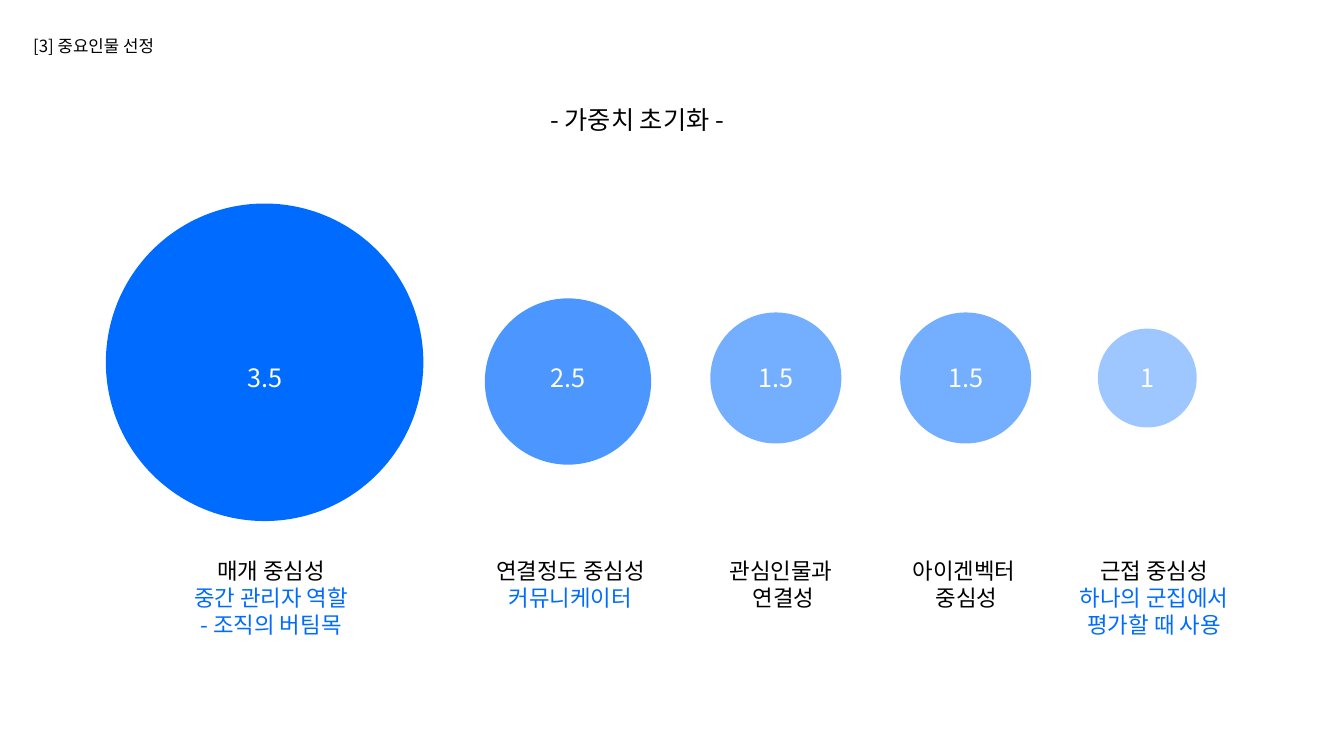
from dataclasses import dataclass

from pptx import Presentation
from pptx.dml.color import RGBColor as Rgb
from pptx.enum.shapes import MSO_SHAPE as Form
from pptx.enum.text import MSO_ANCHOR as Anchor, MSO_AUTO_SIZE as Fit, PP_ALIGN as Align
from pptx.oxml.ns import qn
from pptx.oxml.xmlchemy import OxmlElement as Node
from pptx.util import Pt

FONT = "Noto Sans CJK KR"
HUES = {"ink": "000000", "blue": "006CFF", "white": "FFFFFF"}
CAP_TOP = 394.6
NUM_TOP, NUM_WIDE, NUM_HIGH = 255.6, 54, 28.8


@dataclass
class Line:
    text: str
    hue: str = "ink"


@dataclass
class Score:
    value: str
    mid_x: float
    mid_y: float
    size: float
    alpha: int  # percent
    cap_x: float
    cap_wide: float
    lines: list[Line]


SCORES = [
    Score("3.5", 189, 258.8, 226.8, 100, 193.7, 132.5,
          [Line("매개 중심성"), Line("중간 관리자 역할", "blue"), Line("- 조직의 버팀목", "blue")]),
    Score("2.5", 405.7, 272.5, 118.8, 70, 407.5, 141.1,
          [Line("연결정도 중심성"), Line("커뮤니케이터", "blue")]),
    Score("1.5", 554.2, 270, 93.6, 55, 559.8, 146.2,
          [Line("관심인물과 "), Line("연결성")]),
    Score("1.5", 689.8, 270, 93.6, 55, 690.5, 132.5,
          [Line("아이겐벡터 "), Line("중심성")]),
    Score("1", 819.5, 270, 70.6, 38, 824.4, 139.7,
          [Line("근접 중심성"), Line("하나의 군집에서 평가할 때 사용", "blue")]),
]


def write(shape, lines: list[Line], size: float, align: Align) -> None:
    frame = shape.text_frame
    frame.word_wrap = True
    frame.auto_size = Fit.NONE
    frame.vertical_anchor = Anchor.TOP
    for i, line in enumerate(lines):
        para = frame.add_paragraph() if i else frame.paragraphs[0]
        para.alignment = align
        run = para.add_run()
        run.text = line.text
        font = run.font
        font.name, font.size = FONT, Pt(size)
        font.color.rgb = Rgb.from_string(HUES[line.hue])
        # Hangul uses the East Asian face
        face = Node("a:ea")
        face.set("typeface", FONT)
        font._element.find(qn("a:latin")).addnext(face)


def label(shapes, left: float, top: float, wide: float, high: float,
          lines: list[Line], size: float, align: Align = Align.CENTER) -> None:
    box = shapes.add_textbox(Pt(left), Pt(top), Pt(wide), Pt(high))
    write(box, lines, size, align)


def disc(shapes, score: Score) -> None:
    half = score.size / 2
    oval = shapes.add_shape(Form.OVAL, Pt(score.mid_x - half), Pt(score.mid_y - half),
                            Pt(score.size), Pt(score.size))
    oval.shadow.inherit = False
    oval.line.fill.background()
    oval.fill.solid()
    oval.fill.fore_color.rgb = Rgb.from_string(HUES["blue"])
    if score.alpha < 100:
        alpha = Node("a:alpha")
        alpha.set("val", str(score.alpha * 1000))
        oval._element.spPr.find(qn("a:solidFill"))[0].append(alpha)


def draw(slide, score: Score) -> None:
    # Circle and its weight
    group = slide.shapes.add_group_shape()
    disc(group.shapes, score)
    label(group.shapes, score.mid_x - NUM_WIDE / 2, NUM_TOP, NUM_WIDE, NUM_HIGH,
          [Line(score.value, "white")], 18)
    # Caption
    high = 65.5 if score.lines[-1].hue == "blue" and score.value != "2.5" else 46.1
    label(slide.shapes, score.cap_x - score.cap_wide / 2, CAP_TOP, score.cap_wide, high,
          score.lines, 16)


def main() -> None:
    deck = Presentation()
    deck.slide_width, deck.slide_height = Pt(960), Pt(540)
    slide = deck.slides.add_slide(deck.slide_layouts[5])

    # Title
    title = slide.shapes.title
    title.left, title.top, title.width, title.height = Pt(385.9), Pt(70.6), Pt(175.7), Pt(51.1)
    write(title, [Line("- 가중치 초기화 -")], 18, Align.LEFT)

    # Section mark
    label(slide.shapes, 16.6, 22.3, 166.3, 21.6, [Line("[3] 중요인물 선정")], 12, Align.LEFT)

    # Weights
    for score in SCORES:
        draw(slide, score)

    deck.save("out.pptx")


if __name__ == "__main__":
    main()
